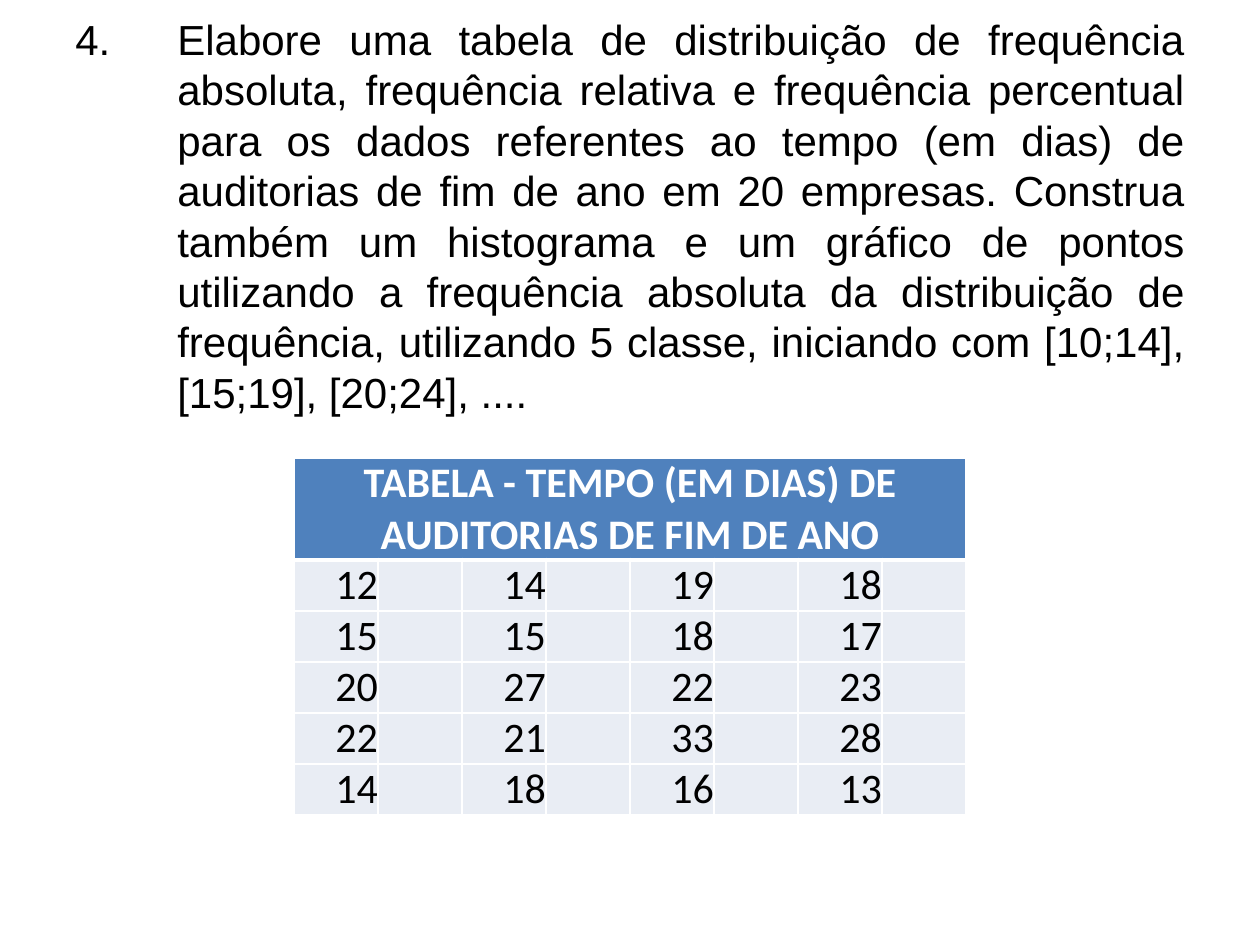
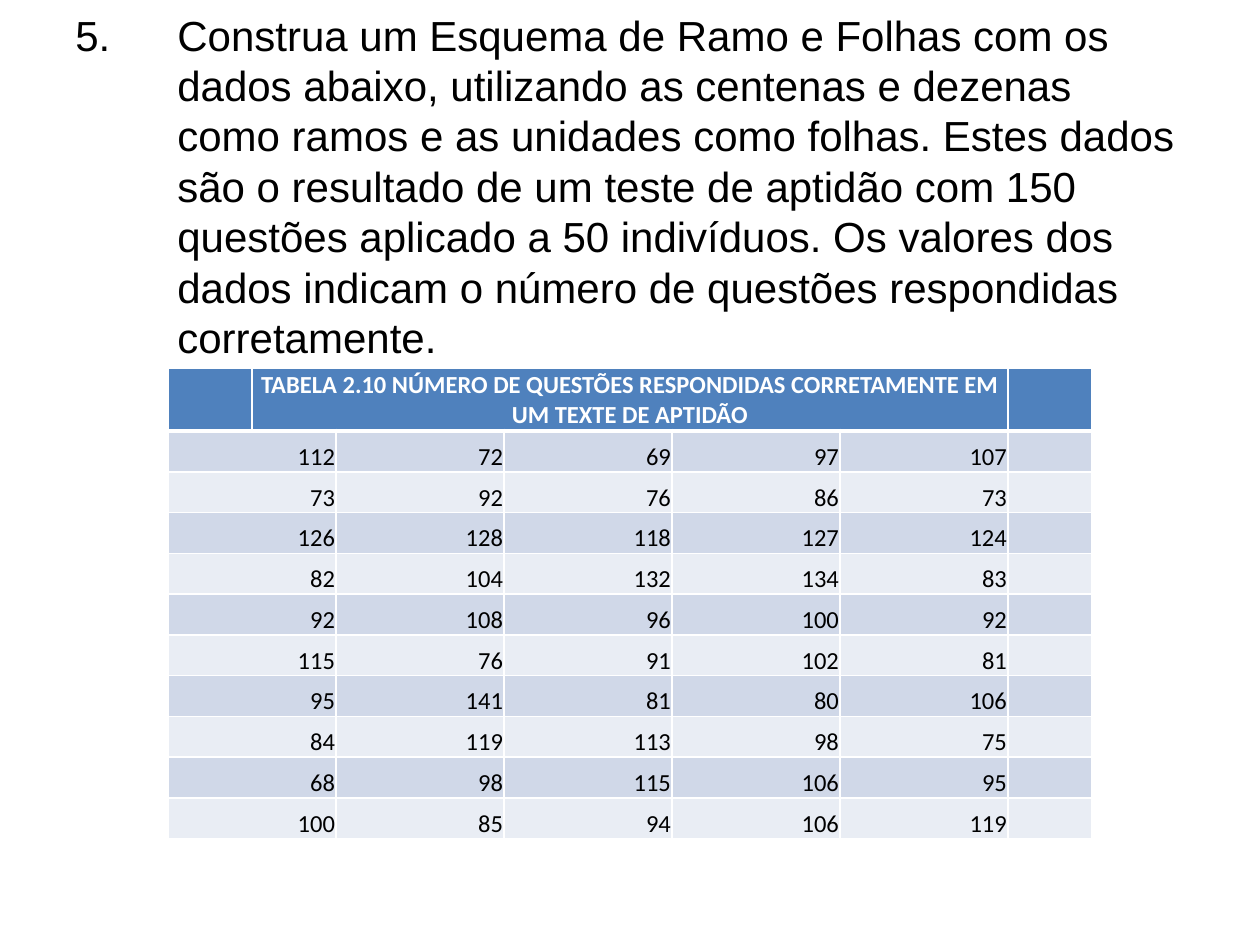
from lxml.etree import SubElement
from pptx import Presentation
from pptx.dml.color import RGBColor
from pptx.enum.text import MSO_ANCHOR as Anchor, PP_ALIGN as Align
from pptx.oxml.ns import qn
from pptx.util import Emu, Pt

WHITE = RGBColor(0xFF, 0xFF, 0xFF)
BLACK = RGBColor(0x00, 0x00, 0x00)
HEADER_BLUE = RGBColor(0x4F, 0x81, 0xBD)
BAND_DARK = RGBColor(0xD0, 0xD8, 0xE8)
BAND_LIGHT = RGBColor(0xE9, 0xED, 0xF4)
INDENT = 102
THIN, THICK = Pt(1), Pt(3)


def px(length):
    """Turn pixels (126 to the inch) into EMU."""
    return Emu(round(length * 914400 / 126))


def write(frame, text, size=24, font="Calibri", color=BLACK, bold=False,
          align=Align.LEFT, number=None):
    """Put text in the first paragraph; number makes it a numbered item."""
    para = frame.paragraphs[0]
    para.alignment = align
    if number:
        props = para._p.get_or_add_pPr()
        props.set("marL", str(px(INDENT)))
        props.set("indent", str(-px(INDENT)))
        SubElement(props, qn("a:buFont"), typeface="+mj-lt")
        SubElement(props, qn("a:buAutoNum"), type="arabicPeriod", startAt=str(number))
    span = para.add_run()
    span.text = text
    span.font.size = Pt(size)
    span.font.name = font
    span.font.bold = bold
    span.font.color.rgb = color


exercises = [
    dict(
        number=4, top=136, height=158, align=Align.JUSTIFY,
        question="Elabore uma tabela de distribuição de frequência absoluta, frequência "
                 "relativa e frequência percentual para os dados referentes ao tempo (em dias) "
                 "de auditorias de fim de ano em 20 empresas. Construa também um histograma e "
                 "um gráfico de pontos utilizando a frequência absoluta da distribuição de "
                 "frequência, utilizando 5 classe, iniciando com [10;14], [15;19], [20;24], ....",
        heading="TABELA - TEMPO (EM DIAS) DE AUDITORIAS DE FIM DE ANO",
        heading_span=(0, 7), heading_anchor=Anchor.BOTTOM,
        left=294, table_top=458, table_height=357, header_height=102,
        columns=[84] * 8, value_columns=[0, 2, 4, 6], joined=0,
        size=24, inset=0, bands=[BAND_LIGHT],
        values=[
            [12, 14, 19, 18],
            [15, 15, 18, 17],
            [20, 27, 22, 23],
            [22, 21, 33, 28],
            [14, 18, 16, 13],
        ],
    ),
    dict(
        number=5, top=87, height=197, align=Align.LEFT,
        question="Construa um Esquema de Ramo e Folhas com os dados abaixo, utilizando as "
                 "centenas e dezenas como ramos e as unidades como folhas. Estes dados são o "
                 "resultado de um teste de aptidão com 150 questões aplicado a 50 indivíduos. "
                 "Os valores dos dados indicam o número de questões respondidas corretamente.",
        heading="TABELA 2.10 NÚMERO DE QUESTÕES RESPONDIDAS CORRETAMENTE EM UM TEXTE DE APTIDÃO",
        heading_span=(1, 5), heading_anchor=Anchor.MIDDLE,
        left=168, table_top=368, table_height=471, header_height=63,
        columns=[84, 84, 168, 168, 168, 168, 84], value_columns=[0, 2, 3, 4, 5], joined=1,
        size=14, inset=1, bands=[BAND_DARK, BAND_LIGHT],
        values=[
            [112, 72, 69, 97, 107],
            [73, 92, 76, 86, 73],
            [126, 128, 118, 127, 124],
            [82, 104, 132, 134, 83],
            [92, 108, 96, 100, 92],
            [115, 76, 91, 102, 81],
            [95, 141, 81, 80, 106],
            [84, 119, 113, 98, 75],
            [68, 98, 115, 106, 95],
            [100, 85, 94, 106, 119],
        ],
    ),
]

deck = Presentation()
deck.slide_width, deck.slide_height = px(1260), px(945)

for exercise in exercises:
    page = deck.slides.add_slide(deck.slide_layouts[6])

    box = page.shapes.add_textbox(px(63), px(exercise["top"]), px(1134), px(exercise["height"]))
    box.text_frame.word_wrap = True
    box.text_frame.vertical_anchor = Anchor.MIDDLE
    write(box.text_frame, exercise["question"], font="Arial",
          align=exercise["align"], number=exercise["number"])

    values, columns = exercise["values"], exercise["columns"]
    table = page.shapes.add_table(
        len(values) + 1, len(columns), px(exercise["left"]), px(exercise["table_top"]),
        px(sum(columns)), px(exercise["table_height"])).table
    table.horz_banding = False
    for column, width in zip(table.columns, columns):
        column.width = px(width)
    row_height = (exercise["table_height"] - exercise["header_height"]) / len(values)
    for index, row in enumerate(table.rows):
        row.height = px(row_height if index else exercise["header_height"])

    bands = exercise["bands"]
    for index, row in enumerate(table.rows):
        for cell in row.cells:
            cell.margin_left = cell.margin_top = cell.margin_right = px(exercise["inset"])
            cell.margin_bottom = 0
            cell.vertical_anchor = Anchor.BOTTOM
            props = cell._tc.get_or_add_tcPr()
            widths = {"lnL": THIN, "lnR": THIN,
                      "lnT": THICK if index == 1 else THIN,
                      "lnB": THICK if index == 0 else THIN}
            for side, width in widths.items():
                line = SubElement(props, qn(f"a:{side}"), w=str(width))
                SubElement(SubElement(line, qn("a:solidFill")), qn("a:srgbClr"), val=str(WHITE))
            cell.fill.solid()
            cell.fill.fore_color.rgb = bands[(index - 1) % len(bands)] if index else HEADER_BLUE

    first, last = exercise["heading_span"]
    heading = table.cell(0, first)
    heading.merge(table.cell(0, last))
    heading.vertical_anchor = exercise["heading_anchor"]
    write(heading.text_frame, exercise["heading"], size=exercise["size"], color=WHITE,
          bold=True, align=Align.CENTER)

    for index, numbers in enumerate(values, start=1):
        if exercise["joined"]:
            table.cell(index, 0).merge(table.cell(index, exercise["joined"]))
        for column, number in zip(exercise["value_columns"], numbers):
            write(table.cell(index, column).text_frame, str(number), size=exercise["size"],
                  align=Align.RIGHT)

deck.save("out.pptx")
